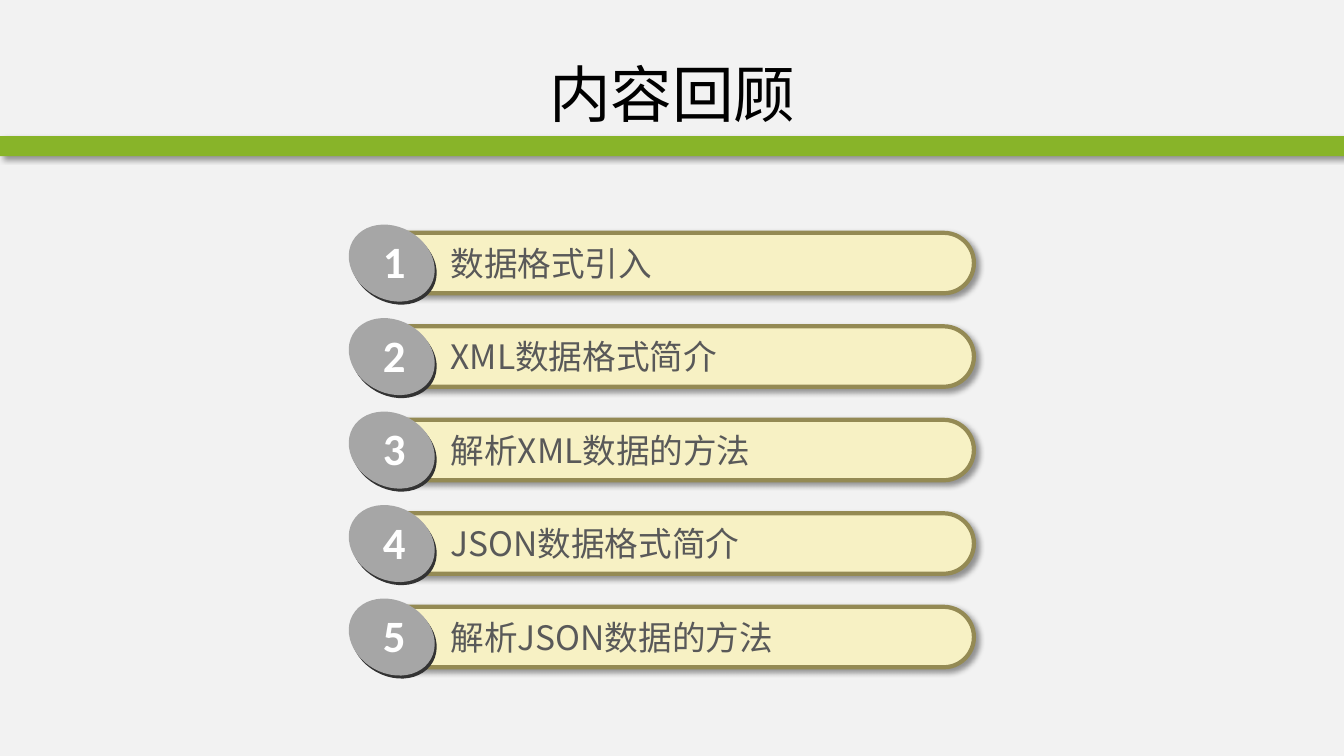
from lxml.etree import SubElement
from pptx import Presentation
from pptx.dml.color import RGBColor
from pptx.enum.shapes import MSO_SHAPE
from pptx.enum.text import MSO_ANCHOR, MSO_AUTO_SIZE, PP_ALIGN
from pptx.oxml import parse_xml
from pptx.oxml.ns import nsdecls, qn
from pptx.util import Inches, Pt

HEADING = "内容回顾"
TOPICS = [
    "数据格式引入",
    "XML数据格式简介",
    "解析XML数据的方法",
    "JSON数据格式简介",
    "解析JSON数据的方法",
]

CJK_FONT = "Noto Sans CJK SC"
NUMBER_FONT = "Calibri"
BACKGROUND = RGBColor(0xF2, 0xF2, 0xF2)
GREEN = RGBColor(0x88, 0xB4, 0x29)
CREAM = RGBColor(0xF7, 0xF1, 0xC4)
OLIVE = RGBColor(0x94, 0x8A, 0x54)
DARK = RGBColor(0x33, 0x33, 0x33)
GREY = RGBColor(0xA6, 0xA6, 0xA6)
TEXT_GREY = RGBColor(0x59, 0x59, 0x59)
WHITE = RGBColor(0xFF, 0xFF, 0xFF)
BLACK = RGBColor(0, 0, 0)

SLIDE_W, SLIDE_H = 13.33, 7.5
FIRST_ROW, LAST_ROW = 2.31, 6.02
ROW_PITCH = (LAST_ROW - FIRST_ROW) / (len(TOPICS) - 1)
PILL_LEFT, PILL_W, PILL_H = 3.66, 6, 0.6
DISC_LEFT, DISC_W, DISC_H, DISC_TILT = 3.44, 0.89, 0.72, 29.3
DISC_RISE, DISC_OFFSET = 0.06, 0.02


def box(left, top, width, height):
    return [Inches(value) for value in (left, top, width, height)]


def write(shape, text, size, color, font=CJK_FONT, bold=False,
          align=PP_ALIGN.LEFT, anchor=MSO_ANCHOR.TOP, wrap=True,
          fit=MSO_AUTO_SIZE.SHAPE_TO_FIT_TEXT):
    frame = shape.text_frame
    frame.word_wrap = wrap
    frame.auto_size = fit
    frame.vertical_anchor = anchor
    paragraph = frame.paragraphs[0]
    paragraph.alignment = align
    run = paragraph.add_run()
    run.text = text
    run.font.size = Pt(size)
    run.font.bold = bold
    run.font.color.rgb = color
    run.font.name = font
    SubElement(run.font._element, qn("a:ea")).set("typeface", font)


def add_block(shapes, preset, place, fill, line=None, shadow=False):
    block = shapes.add_shape(preset, *box(*place))
    block.shadow.inherit = False
    block.fill.solid()
    block.fill.fore_color.rgb = fill
    if line:
        block.line.color.rgb = line
        block.line.width = Pt(3)
    else:
        block.line.fill.background()
    if shadow:
        effects = block._element.spPr.find(qn("a:effectLst"))
        effects.append(parse_xml(
            f'<a:outerShdw {nsdecls("a")} blurRad="{Pt(4)}" dist="{Pt(3)}" '
            'dir="2700000" algn="tl" rotWithShape="0"><a:srgbClr val="000000">'
            '<a:alpha val="40000"/></a:srgbClr></a:outerShdw>'))
    return block


def add_topic(slide, number, topic):
    top = FIRST_ROW + (number - 1) * ROW_PITCH
    shapes = slide.shapes.add_group_shape().shapes
    pill = add_block(shapes, MSO_SHAPE.ROUNDED_RECTANGLE,
                     (PILL_LEFT, top, PILL_W, PILL_H), CREAM, OLIVE, True)
    pill.adjustments[0] = 0.5
    label = shapes.add_textbox(*box(4.37, top + 0.05, 5.09, 0.5))
    write(label, topic, 24, TEXT_GREY)
    for offset, color in ((DISC_OFFSET, DARK), (0, GREY)):
        disc = add_block(shapes, MSO_SHAPE.OVAL,
                         (DISC_LEFT + offset, top - DISC_RISE + offset * 1.5,
                          DISC_W, DISC_H), color)
        disc.rotation = DISC_TILT
    numeral = shapes.add_textbox(*box(3.7, top - 0.04, 0.43, 0.64))
    write(numeral, str(number), 32, WHITE, font=NUMBER_FONT, bold=True, wrap=False)


def main():
    deck = Presentation()
    deck.slide_width, deck.slide_height = Inches(SLIDE_W), Inches(SLIDE_H)
    slide = deck.slides.add_slide(deck.slide_layouts[5])
    slide.background.fill.solid()
    slide.background.fill.fore_color.rgb = BACKGROUND

    title = slide.shapes.title
    title.left, title.top, title.width, title.height = box(0.67, 0.3, 12, 1.25)
    write(title, HEADING, 44, BLACK, align=PP_ALIGN.CENTER,
          anchor=MSO_ANCHOR.MIDDLE, fit=MSO_AUTO_SIZE.NONE)
    add_block(slide.shapes, MSO_SHAPE.RECTANGLE, (0, 1.35, SLIDE_W, 0.2),
              GREEN, shadow=True)
    for number, topic in enumerate(TOPICS, 1):
        add_topic(slide, number, topic)
    deck.save("out.pptx")


if __name__ == "__main__":
    main()
